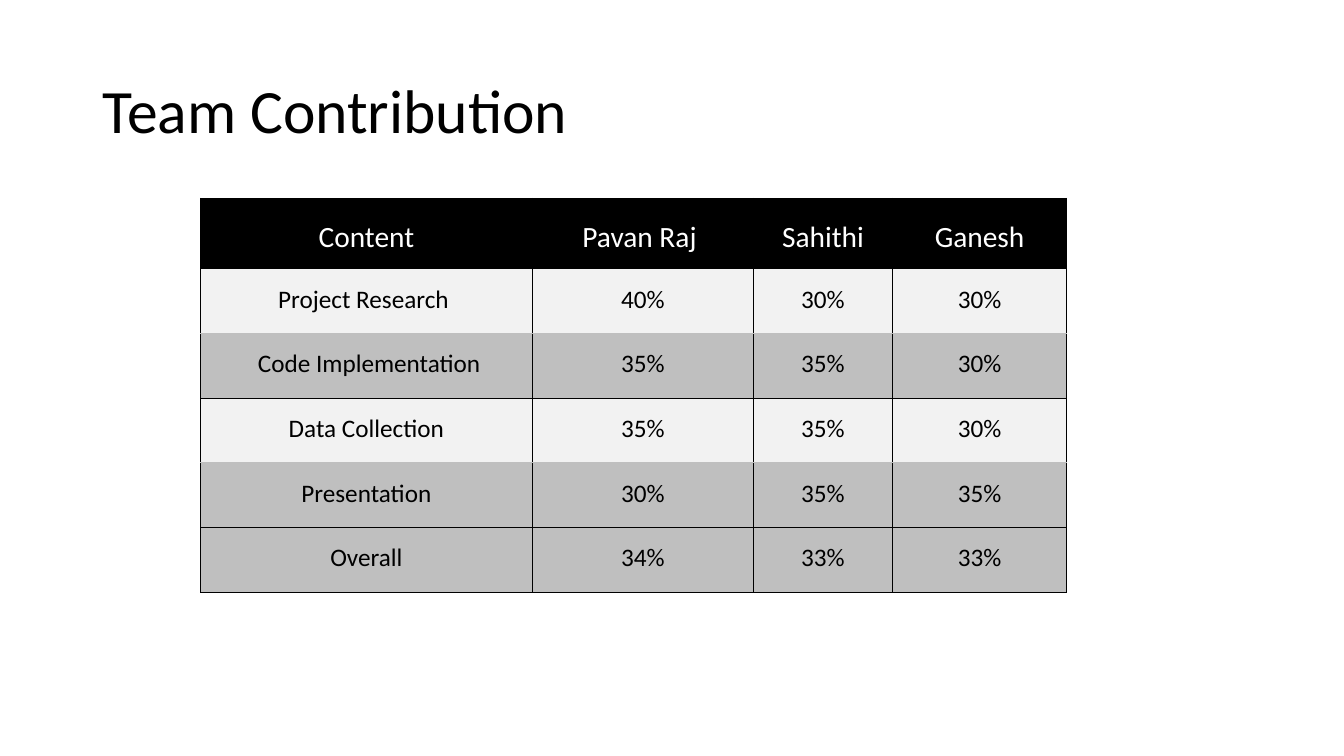
from lxml import etree
from pptx import Presentation
from pptx.dml.color import RGBColor
from pptx.enum.text import MSO_ANCHOR, PP_ALIGN
from pptx.oxml.ns import qn
from pptx.util import Pt

MIDDLE, TOP = MSO_ANCHOR.MIDDLE, MSO_ANCHOR.TOP
LEFT, CENTER = PP_ALIGN.LEFT, PP_ALIGN.CENTER
TITLE_ONLY = 5

BLACK = RGBColor(0x00, 0x00, 0x00)
WHITE = RGBColor(0xFF, 0xFF, 0xFF)
LIGHT_GREY = RGBColor(0xF2, 0xF2, 0xF2)
MID_GREY = RGBColor(0xBF, 0xBF, 0xBF)
FONT = "Calibri"

ROWS = [
    ("Content", "Pavan Raj ", "Sahithi", "Ganesh"),
    ("Project Research ", "40%", "30%", "30%"),
    (" Code Implementation", "35%", "35%", "30%"),
    ("Data Collection", "35%", "35%", "30%"),
    ("Presentation", "30%", "35%", "35%"),
    ("Overall", "34%", "33%", "33%"),
]
COLUMN_WIDTHS = (237, 158, 99.4, 124.4)
HEADER_HEIGHT, ROW_HEIGHT = 50.4, 46.2
ROW_FILLS = (BLACK, LIGHT_GREY, MID_GREY, LIGHT_GREY, MID_GREY, MID_GREY)
BLACK_EDGE, GREY_EDGE = (BLACK, 0.75), (MID_GREY, 1)


def add_run(para, text, size, color):
    run = para.add_run()
    run.text = text
    run.font.name = FONT
    run.font.size = Pt(size)
    run.font.color.rgb = color


def add_title(page, text):
    title = page.shapes.title
    title.left, title.top, title.width, title.height = Pt(66), Pt(29), Pt(828), Pt(104)
    title.text_frame.vertical_anchor = MIDDLE
    para = title.text_frame.paragraphs[0]
    para.alignment = LEFT
    para.line_spacing = 0.9
    add_run(para, text, 44, BLACK)


def set_border(cell, side, edge):
    color, width = edge
    properties = cell._tc.get_or_add_tcPr()
    line = etree.SubElement(properties, qn(f"a:ln{side}"), w=str(Pt(width)))
    fill = etree.SubElement(line, qn("a:solidFill"))
    etree.SubElement(fill, qn("a:srgbClr"), val=str(color))


def edge_below(row):
    """A light row meets the grey row under it in a grey line."""
    return GREY_EDGE if row >= 0 and ROW_FILLS[row] == LIGHT_GREY else BLACK_EDGE


def fill_cell(cell, text, row):
    is_header = row == 0
    cell.margin_left = cell.margin_right = cell.margin_top = Pt(10.8)
    cell.margin_bottom = Pt(5.4)
    cell.vertical_anchor = MIDDLE if is_header else TOP
    edges = {"L": BLACK_EDGE, "R": BLACK_EDGE,
             "T": edge_below(row - 1), "B": edge_below(row)}
    for side, edge in edges.items():
        set_border(cell, side, edge)
    cell.fill.solid()
    cell.fill.fore_color.rgb = ROW_FILLS[row]
    para = cell.text_frame.paragraphs[0]
    para.alignment = CENTER
    add_run(para, text, 21 if is_header else 18, WHITE if is_header else BLACK)


def add_contribution_table(page):
    heights = [HEADER_HEIGHT] + [ROW_HEIGHT] * (len(ROWS) - 1)
    frame = page.shapes.add_table(len(ROWS), len(COLUMN_WIDTHS), Pt(143.2), Pt(141.7),
                                  Pt(sum(COLUMN_WIDTHS)), Pt(sum(heights)))
    table = frame.table
    table.horz_banding = False
    table.first_row = False
    for column, width in zip(table.columns, COLUMN_WIDTHS):
        column.width = Pt(width)
    for row, (texts, height) in enumerate(zip(ROWS, heights)):
        table.rows[row].height = Pt(height)
        for column, text in enumerate(texts):
            fill_cell(table.cell(row, column), text, row)


def main():
    deck = Presentation()
    deck.slide_width, deck.slide_height = Pt(960), Pt(540)
    page = deck.slides.add_slide(deck.slide_layouts[TITLE_ONLY])
    add_title(page, "Team Contribution")
    add_contribution_table(page)
    deck.save("out.pptx")


if __name__ == "__main__":
    main()
